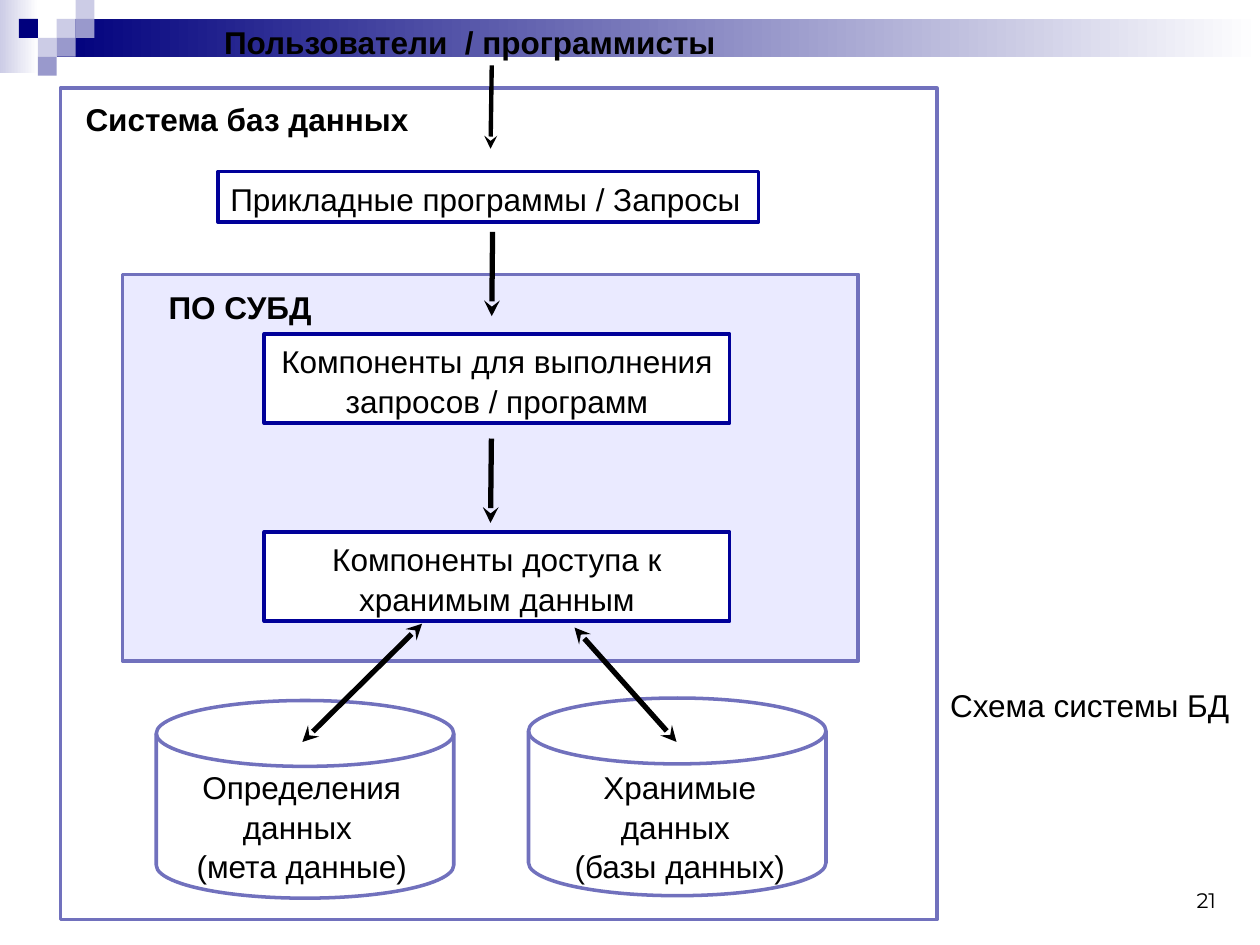
from dataclasses import dataclass
from typing import NamedTuple

from lxml.etree import SubElement
from pptx import Presentation
from pptx.dml.color import RGBColor
from pptx.enum.shapes import MSO_CONNECTOR, MSO_SHAPE
from pptx.enum.text import MSO_ANCHOR, MSO_AUTO_SIZE, PP_ALIGN
from pptx.oxml.ns import qn
from pptx.util import Pt


@dataclass(frozen=True)
class Theme:
    black: str = "000000"
    white: str = "FFFFFF"
    navy: str = "00007D"
    blue: str = "000099"
    violet: str = "7171BD"
    mid: str = "9999CC"
    light: str = "CCCCE6"
    pale: str = "EAEAFF"
    font: str = "Arial"
    page_font: str = "Montserrat"
    size: float = 18
    page_size: float = 12
    edge: float = 2
    leading: float = 1.05


class Area(NamedTuple):
    left: float
    top: float
    width: float
    height: float


class Box(NamedTuple):
    area: Area
    text: str
    wrap: bool = True


class Label(NamedTuple):
    area: Area
    text: str
    bold: bool = False


class Disk(NamedTuple):
    area: Area
    label: Area
    text: str


class Arrow(NamedTuple):
    start: tuple[float, float]
    end: tuple[float, float]
    width: float = 3
    double: bool = False


class Cell(NamedTuple):
    col: int
    row: int
    color: str


THEME = Theme()
UNIT = 10.8

BANDS = [
    (Area(0, 0, 22, 42), THEME.light),
    (Area(3 * UNIT, UNIT, 720 - 3 * UNIT, 2 * UNIT), THEME.navy),
]
CELLS = [
    Cell(3, 1, THEME.light),
    Cell(4, 0, THEME.light),
    Cell(4, 1, THEME.mid),
    Cell(2, 2, THEME.light),
    Cell(1, 1, THEME.navy),
    Cell(3, 2, THEME.mid),
    Cell(2, 3, THEME.mid),
]
FRAMES = [
    (Area(34.5, 50.4, 501, 475), THEME.white),
    (Area(70, 156.8, 420.5, 221), THEME.pale),
]
BOXES = [
    Box(Area(124.5, 98, 309, 29), "Прикладные программы / Запросы", False),
    Box(Area(151, 190.8, 266, 51), "Компоненты для выполнения запросов / программ"),
    Box(Area(151, 304, 266, 51), "Компоненты доступа к хранимым данным"),
]
DISKS = [
    Disk(Area(89.3, 400.3, 170, 113), Area(89.3, 434.2, 166.3, 73),
         "Определения данных \n(мета данные)"),
    Disk(Area(302, 398.9, 170, 113), Area(305.3, 434.2, 166.3, 73),
         "Хранимые данных \n(базы данных)"),
]
LABELS = [
    Label(Area(41.8, 52.6, 201.6, 29), "Система баз данных", True),
    Label(Area(89.3, 159.8, 132.5, 29), "ПО СУБД", True),
    Label(Area(121, 8.6, 318, 29), "Пользователи  / программисты", True),
]
TITLE = Label(Area(535.7, 387.4, 184.3, 29), "Схема системы БД")
PAGE = Label(Area(666, 499, 36, 26), "21")
ARROWS = [
    Arrow((281, 37.4), (280.3, 85), 2.5),
    Arrow((281.5, 132.5), (281, 180.7)),
    Arrow((280.8, 250.6), (280.3, 298.8)),
    Arrow((241.2, 356.4), (172.8, 424), double=True),
    Arrow((328.3, 358.6), (386.6, 424), double=True),
]


def paint(color: str) -> RGBColor:
    return RGBColor.from_string(color)


def place(shape, area: Area) -> None:
    shape.left, shape.top, shape.width, shape.height = map(Pt, area)


def write(shape, text: str, *, bold: bool = False, align=PP_ALIGN.LEFT,
          anchor=MSO_ANCHOR.TOP, wrap: bool = True, grow: bool = True,
          font: str = THEME.font, size: float = THEME.size) -> None:
    frame = shape.text_frame
    frame.word_wrap = wrap
    frame.auto_size = MSO_AUTO_SIZE.SHAPE_TO_FIT_TEXT if grow else MSO_AUTO_SIZE.NONE
    frame.vertical_anchor = anchor
    par = frame.paragraphs[0]
    par.alignment = align
    par.line_spacing = THEME.leading
    for count, line in enumerate(text.split("\n")):
        if count:
            par.add_line_break()
        run = par.add_run()
        run.text = line
        run.font.name = font
        run.font.size = Pt(size)
        run.font.bold = bold
        run.font.color.rgb = paint(THEME.black)


def draw_shape(slide, area: Area, fill: str, edge: str = "",
               kind=MSO_SHAPE.RECTANGLE):
    shape = slide.shapes.add_shape(kind, *map(Pt, area))
    shape.shadow.inherit = False
    shape.fill.solid()
    shape.fill.fore_color.rgb = paint(fill)
    if edge:
        shape.line.color.rgb = paint(edge)
        shape.line.width = Pt(THEME.edge)
    else:
        shape.line.fill.background()
    return shape


def draw_band(slide, area: Area, color: str) -> None:
    fill = draw_shape(slide, area, color).fill
    fill.gradient()
    fill.gradient_angle = 0
    for stop, shade, spot in zip(fill.gradient_stops, (color, THEME.white), (0, 1)):
        stop.color.rgb = paint(shade)
        stop.position = spot


def draw_label(slide, area: Area, text: str, **form) -> None:
    write(slide.shapes.add_textbox(*map(Pt, area)), text, **form)


def draw_disk(slide, disk: Disk) -> None:
    draw_shape(slide, disk.area, THEME.white, THEME.violet,
               MSO_SHAPE.FLOWCHART_MAGNETIC_DISK)
    draw_label(slide, disk.label, disk.text, align=PP_ALIGN.CENTER)


def draw_arrow(slide, arrow: Arrow) -> None:
    link = slide.shapes.add_connector(
        MSO_CONNECTOR.STRAIGHT, *map(Pt, arrow.start + arrow.end))
    link.line.color.rgb = paint(THEME.black)
    link.line.width = Pt(arrow.width)
    edge = link.line._get_or_add_ln()
    for tag in ("a:headEnd", "a:tailEnd") if arrow.double else ("a:tailEnd",):
        SubElement(edge, qn(tag), type="stealth")
    SubElement(link._element.spPr, qn("a:effectLst"))


def main() -> None:
    deck = Presentation()
    deck.slide_width, deck.slide_height = Pt(720), Pt(540)
    slide = deck.slides.add_slide(deck.slide_layouts[5])
    for area, color in BANDS:
        draw_band(slide, area, color)
    for cell in CELLS:
        draw_shape(slide, Area(cell.col * UNIT, cell.row * UNIT, UNIT, UNIT), cell.color)
    for area, color in FRAMES:
        draw_shape(slide, area, color, THEME.violet)
    for box in BOXES:
        shape = draw_shape(slide, box.area, THEME.white, THEME.blue)
        write(shape, box.text, wrap=box.wrap,
              align=PP_ALIGN.CENTER if box.wrap else PP_ALIGN.LEFT)
    for disk in DISKS:
        draw_disk(slide, disk)
    for label in LABELS:
        draw_label(slide, label.area, label.text, bold=label.bold)
    place(slide.shapes.title, TITLE.area)
    write(slide.shapes.title, TITLE.text)
    draw_label(slide, PAGE.area, PAGE.text, align=PP_ALIGN.RIGHT, grow=False,
               anchor=MSO_ANCHOR.BOTTOM, font=THEME.page_font, size=THEME.page_size)
    for arrow in ARROWS:
        draw_arrow(slide, arrow)
    deck.save("out.pptx")


if __name__ == "__main__":
    main()
